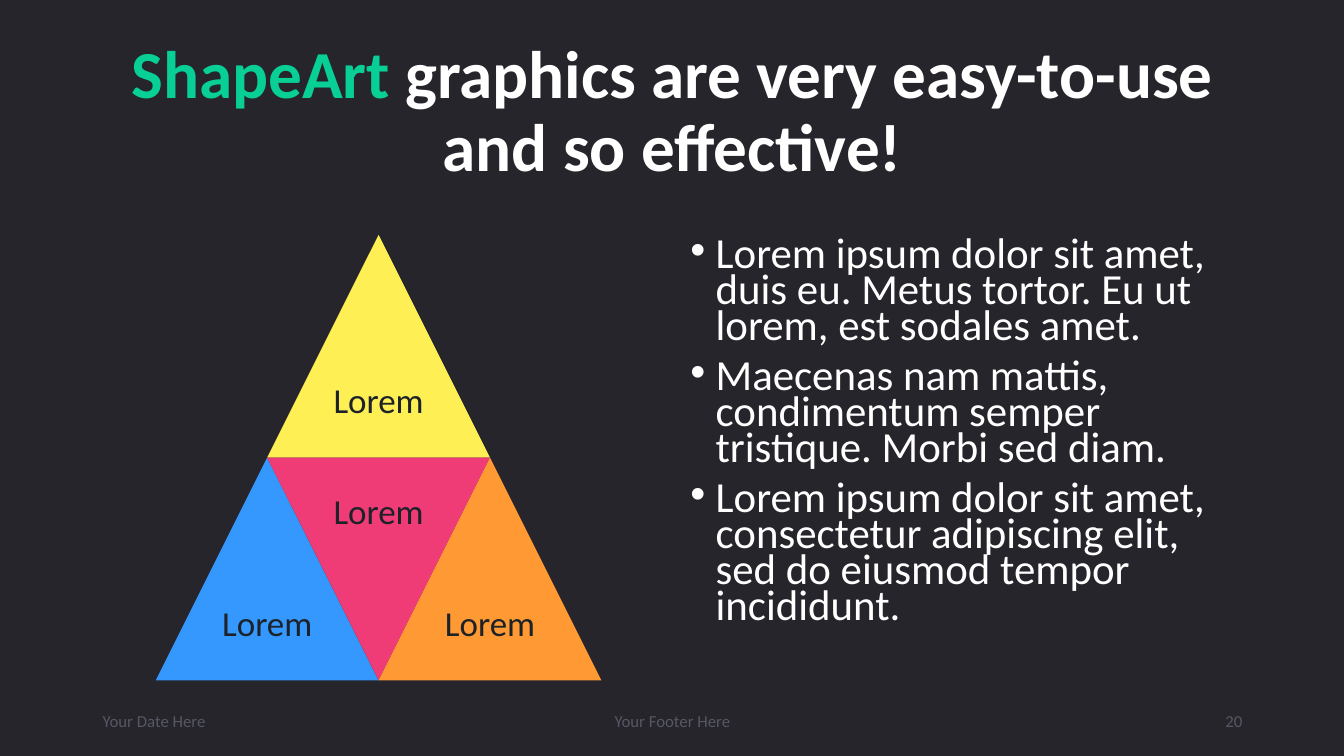
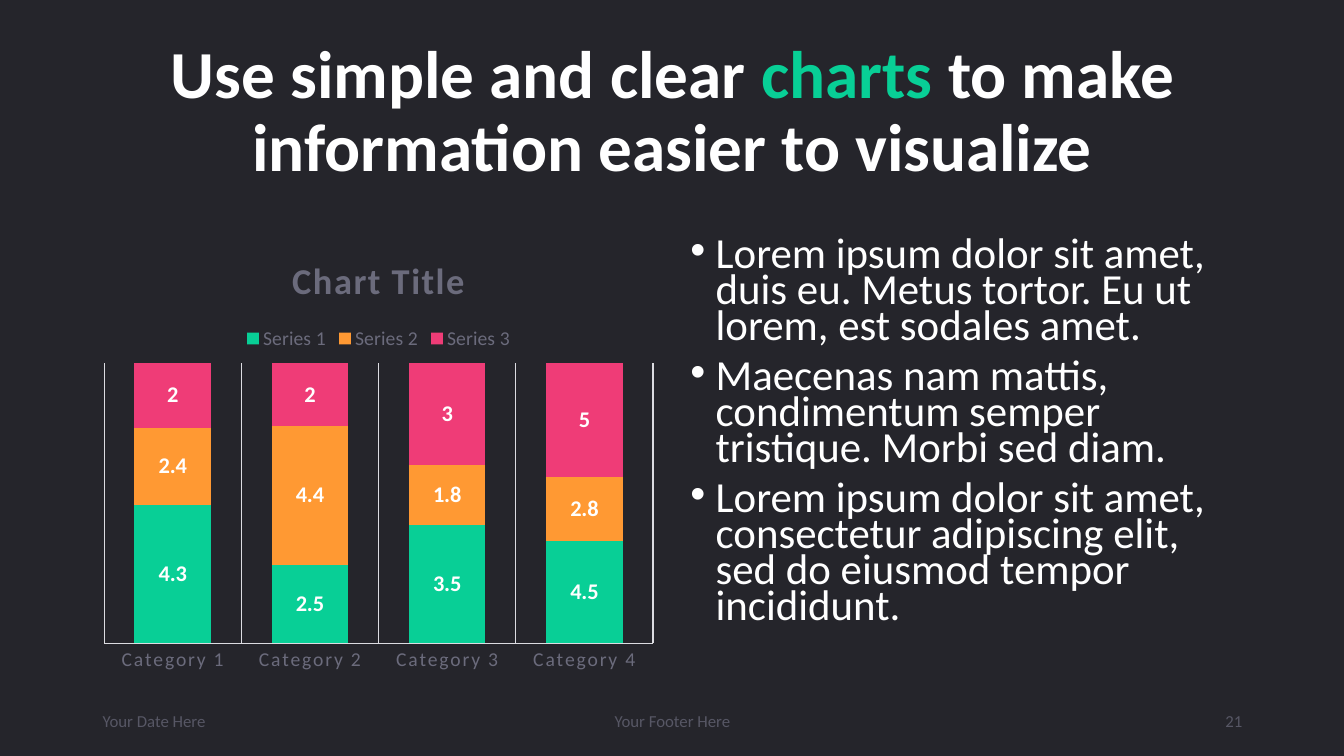
from pptx import Presentation
from pptx.chart.data import CategoryChartData
from pptx.dml.color import RGBColor
from pptx.enum.chart import XL_CHART_TYPE as ChartType, XL_LABEL_POSITION as LabelPosition
from pptx.enum.chart import XL_LEGEND_POSITION as LegendPosition, XL_TICK_MARK as TickMark
from pptx.enum.chart import XL_TICK_LABEL_POSITION as TickLabelPosition
from pptx.enum.shapes import MSO_SHAPE as Shape
from pptx.enum.text import MSO_ANCHOR as Anchor, PP_ALIGN as Align
from pptx.oxml.ns import qn
from pptx.util import Inches, Pt
from lxml import etree

# Shared style
FONT = "Calibri"
BACKGROUND, DARK, WHITE = "25252B", "1C2228", "FFFFFF"
GREEN, YELLOW, BLUE = "08CF96", "FDEF54", "3598FE"
PINK, ORANGE = "EF3C77", "FF9933"
FOOTER_GREY, CHART_GREY, LINE_GREY = "575765", "6B6B7C", "DCDCE1"

MARGIN, CONTENT_TOP, CONTENT_HEIGHT = 0.92, 2.33, 4.42
COLUMN_WIDTH, RIGHT_COLUMN = 5.67, 6.75

BULLETS = [
    "Lorem ipsum dolor sit amet, duis eu. Metus tortor. Eu ut lorem, est sodales amet.",
    "Maecenas nam mattis, condimentum semper tristique. Morbi sed diam.",
    "Lorem ipsum dolor sit amet, consectetur adipiscing elit, "
    "sed do eiusmod tempor incididunt.",
]


def color(hex_string):
    return RGBColor.from_string(hex_string)


def style_font(font, size, hex_string, bold=False):
    font.name, font.size, font.bold = FONT, Pt(size), bold
    font.color.rgb = color(hex_string)


def add_text(paragraph, text, size=12, fill=WHITE, bold=False, align=None, spacing=None):
    """Append one formatted run to the paragraph."""
    run = paragraph.add_run()
    run.text = text
    style_font(run.font, size, fill, bold)
    if align is not None:
        paragraph.alignment = align
    if spacing is not None:
        paragraph.line_spacing = spacing
    return run


def set_tracking(element, tag, points):
    """Set letter spacing on every text property element with this tag."""
    for properties in element.iter(qn(tag)):
        properties.set("spc", str(int(points * 100)))


def add_bullet(paragraph, indent=0.25):
    properties = paragraph._p.get_or_add_pPr()
    properties.set("marL", str(Inches(indent)))
    properties.set("indent", str(-Inches(indent)))
    etree.SubElement(properties, qn("a:buFont")).set("typeface", "Arial")
    etree.SubElement(properties, qn("a:buChar")).set("char", "•")


class Deck:
    def __init__(self):
        self.presentation = Presentation()
        self.presentation.slide_width = Inches(13.33)
        self.presentation.slide_height = Inches(7.5)
        self.slide = None

    def new_slide(self, title_parts, number):
        """Start a slide with title, bullet column and footer."""
        self.slide = self.presentation.slides.add_slide(self.presentation.slide_layouts[6])
        fill = self.slide.background.fill
        fill.solid()
        fill.fore_color.rgb = color(BACKGROUND)
        self.title(title_parts)
        self.bullets(BULLETS)
        self.footer(number)

    def frame(self, left, top, width, height, anchor=Anchor.MIDDLE):
        box = self.slide.shapes.add_textbox(
            Inches(left), Inches(top), Inches(width), Inches(height))
        box.text_frame.word_wrap = True
        box.text_frame.vertical_anchor = anchor
        return box.text_frame

    def title(self, parts):
        paragraph = self.frame(MARGIN, 0.4, 11.5, 1.45).paragraphs[0]
        for text, fill in parts:
            add_text(paragraph, text, size=48, fill=fill, bold=True,
                     align=Align.CENTER, spacing=0.9)

    def bullets(self, items):
        frame = self.frame(RIGHT_COLUMN, CONTENT_TOP, COLUMN_WIDTH, CONTENT_HEIGHT, Anchor.TOP)
        for index, item in enumerate(items):
            paragraph = frame.add_paragraph() if index else frame.paragraphs[0]
            add_text(paragraph, item, size=30.6, spacing=0.7)
            paragraph.space_before = Pt(10)
            add_bullet(paragraph)

    def footer(self, number):
        for left, width, text, align in (
                (MARGIN, 3, "Your Date Here", Align.LEFT),
                (4.42, 4.5, "Your Footer Here", Align.CENTER),
                (9.42, 3, str(number), Align.RIGHT)):
            paragraph = self.frame(left, 6.95, width, 0.4).paragraphs[0]
            add_text(paragraph, text, fill=FOOTER_GREY, align=align)

    def triangle(self, left, top, side, fill, label, inverted=False):
        shape = self.slide.shapes.add_shape(
            Shape.ISOSCELES_TRIANGLE, Inches(left), Inches(top), Inches(side), Inches(side))
        shape.shadow.inherit = False
        shape.fill.solid()
        shape.fill.fore_color.rgb = color(fill)
        shape.line.fill.background()
        shape.rotation = 180 if inverted else 0
        # The label fills the square inside the wide half
        half = side / 2
        label_top = top if inverted else top + half
        paragraph = self.frame(left + half / 2, label_top, half, half).paragraphs[0]
        add_text(paragraph, label, size=25, fill=DARK, align=Align.CENTER, spacing=0.9)

    def stacked_chart(self, title, categories, series_rows):
        data = CategoryChartData()
        data.categories = categories
        for name, values, _ in series_rows:
            data.add_series(name, values)
        chart = self.slide.shapes.add_chart(
            ChartType.COLUMN_STACKED_100, Inches(MARGIN), Inches(CONTENT_TOP),
            Inches(COLUMN_WIDTH), Inches(CONTENT_HEIGHT), data).chart
        style_font(chart.font, 10, CHART_GREY)

        # Title and legend
        run = add_text(chart.chart_title.text_frame.paragraphs[0], title,
                       size=26, fill=CHART_GREY, bold=True)
        set_tracking(run._r, "a:rPr", 1)
        chart.chart_title.include_in_layout = False
        chart.has_legend = True
        chart.legend.position = LegendPosition.TOP
        chart.legend.include_in_layout = False
        style_font(chart.legend.font, 14, CHART_GREY)

        # Axes
        chart.value_axis.visible = False
        chart.value_axis.has_major_gridlines = False
        axis = chart.category_axis
        axis.major_tick_mark = axis.minor_tick_mark = TickMark.NONE
        axis.tick_label_position = TickLabelPosition.NEXT_TO_AXIS
        axis.has_major_gridlines = True
        for line in (axis.format.line, axis.major_gridlines.format.line):
            line.color.rgb = color(LINE_GREY)
            line.width = Pt(0.75)
        style_font(axis.tick_labels.font, 14, CHART_GREY)
        set_tracking(axis._element, "a:defRPr", 1.2)

        # Series
        plot = chart.plots[0]
        plot.gap_width, plot.overlap, plot.vary_by_categories = 79, 100, False
        for series, (_, _, fill) in zip(plot.series, series_rows):
            series.format.fill.solid()
            series.format.fill.fore_color.rgb = color(fill)
            labels = series.data_labels
            labels.show_value = True
            labels.position = LabelPosition.CENTER
            style_font(labels.font, 16, WHITE, bold=True)


def main():
    deck = Deck()

    # Pyramid slide
    deck.new_slide([("ShapeArt", GREEN),
                    (" graphics are very easy-to-use and so effective!", WHITE)], 20)
    side = CONTENT_HEIGHT / 2
    pyramid_left = MARGIN + (COLUMN_WIDTH - CONTENT_HEIGHT) / 2
    for half_steps, row, fill, inverted in (
            (1, 0, YELLOW, False), (0, 1, BLUE, False),
            (1, 1, PINK, True), (2, 1, ORANGE, False)):
        deck.triangle(pyramid_left + half_steps * side / 2, CONTENT_TOP + row * side,
                      side, fill, "Lorem", inverted)

    # Chart slide
    deck.new_slide([("Use simple and clear ", WHITE), ("charts", GREEN),
                    (" to make information easier to visualize", WHITE)], 21)
    deck.stacked_chart("Chart Title", [f"Category {n}" for n in range(1, 5)], [
        ("Series 1", (4.3, 2.5, 3.5, 4.5), GREEN),
        ("Series 2", (2.4, 4.4, 1.8, 2.8), ORANGE),
        ("Series 3", (2, 2, 3, 5), PINK)])

    deck.presentation.save("out.pptx")


if __name__ == "__main__":
    main()
